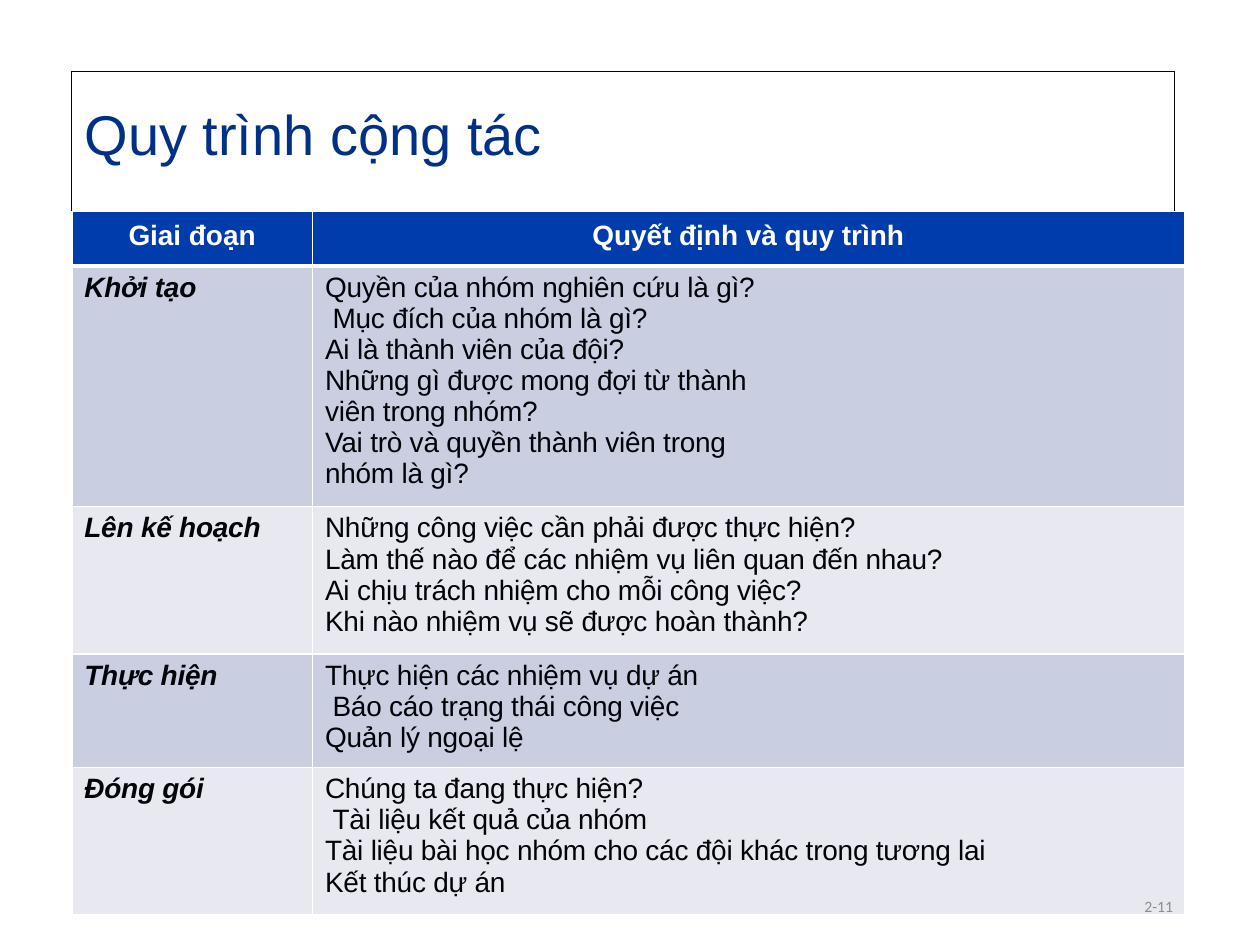
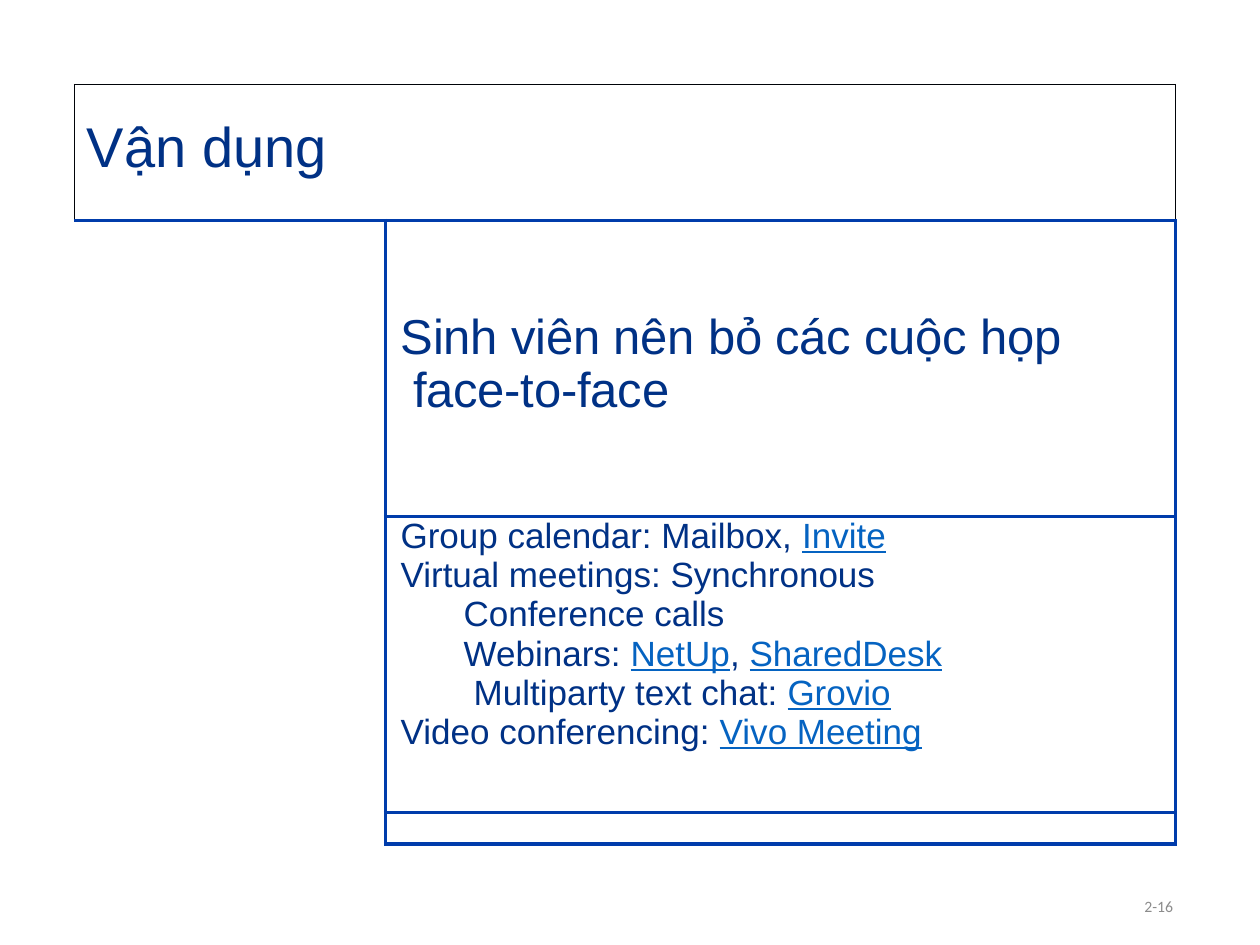
import pptx
import pptx.util
import pptx.dml.color
import pptx.enum.text
import pptx.oxml.ns
from lxml import etree

Inches, Pt = pptx.util.Inches, pptx.util.Pt
RGB = pptx.dml.color.RGBColor
Align = pptx.enum.text.PP_ALIGN
Anchor = pptx.enum.text.MSO_ANCHOR
qn = pptx.oxml.ns.qn

NAVY = RGB(0x00, 0x31, 0x85)
BLUE = RGB(0x00, 0x3C, 0xAB)
INK = RGB(0x00, 0x03, 0x08)
WHITE = RGB(0xFF, 0xFF, 0xFF)
DARK = RGB(0xCA, 0xCE, 0xE1)
LIGHT = RGB(0xE7, 0xE8, 0xF0)
LINK = RGB(0x05, 0x63, 0xC1)
GREY = RGB(0x8C, 0x8C, 0x8C)

# Borders: edge letter -> (colour, points)
BOX = {edge: (INK, 0.75) for edge in "LRT"}
THIN = {edge: (WHITE, 1) for edge in "LRTB"}
RULE = {edge: (BLUE, 2.25) for edge in "LRTB"}


class Deck:
    def __init__(self):
        self.prs = pptx.Presentation()
        self.prs.slide_width, self.prs.slide_height = Inches(10), Inches(7.5)

    def page(self):
        self.slide = self.prs.slides.add_slide(self.prs.slide_layouts[6])

    def foot(self, number):
        box = self.slide.shapes.add_textbox(
            Inches(7.06), Inches(6.95), Inches(2.25), Inches(0.4))
        frame = box.text_frame
        frame.word_wrap = True
        frame.vertical_anchor = Anchor.MIDDLE
        frame.margin_left = frame.margin_right = 0
        frame.margin_top = frame.margin_bottom = 0
        self.line(frame.paragraphs[0], [number], 9, GREY,
                  "Calibri", align=Align.RIGHT, pitch=16.5)

    def table(self, left, top, cols, rows):
        self.grid = self.slide.shapes.add_table(
            len(rows), len(cols), Inches(left), Inches(top),
            Inches(sum(cols)), Inches(sum(rows))).table
        self.grid.first_row = self.grid.horz_banding = False
        for col, width in zip(self.grid.columns, cols):
            col.width = Inches(width)
        for row, height in zip(self.grid.rows, rows):
            row.height = Inches(height)

    def cell(self, row, col, edges, fill=None, span=(1, 1), pad=(0, 0, 0)):
        """Style a cell or merged block; pad is left, top, right."""
        last = row + span[0] - 1, col + span[1] - 1
        for r in range(row, last[0] + 1):
            for c in range(col, last[1] + 1):
                head = (r, c) == (row, col)
                outer = {"L": c == col, "R": c == last[1],
                         "T": r == row, "B": r == last[0]}
                part = self.grid.cell(r, c)
                part.margin_left, part.margin_top, part.margin_right = map(
                    Inches, pad)
                part.margin_bottom = 0
                for edge in "LRTB":
                    shown = head or outer[edge]
                    self.edge(part, edge, edges.get(edge) if shown else None)
                if fill is None:
                    part.fill.background()
                else:
                    part.fill.solid()
                    part.fill.fore_color.rgb = fill
        first = self.grid.cell(row, col)
        if span != (1, 1):
            first.merge(self.grid.cell(*last))
        return first

    def edge(self, cell, edge, pen):
        props = cell._tc.get_or_add_tcPr()
        line = etree.SubElement(props, qn("a:ln" + edge))
        if pen is None:
            etree.SubElement(line, qn("a:noFill"))
            return
        line.set("w", str(Pt(pen[1])))
        solid = etree.SubElement(line, qn("a:solidFill"))
        etree.SubElement(solid, qn("a:srgbClr")).set("val", str(pen[0]))

    def line(self, para, parts, size, color, face="Arial", bold=False,
             slant=False, align=None, pitch=None, left=0, first=0, track=0):
        """Fill a paragraph; every second part is shown as a link."""
        if left or first:
            props = para._p.get_or_add_pPr()
            props.set("marL", str(Inches(left)))
            props.set("indent", str(Inches(first)))
        if align is not None:
            para.alignment = align
        if pitch:
            para.line_spacing = Pt(pitch)
        font = para.font
        font.name, font.size = face, Pt(size)
        font.bold, font.italic = bold, slant
        font.color.rgb = color
        for i, text in enumerate(parts):
            run = para.add_run()
            run.text = text
            if track:
                run._r.get_or_add_rPr().set("spc", str(track))
            if i % 2:
                run.font.color.rgb = LINK
                run.font.underline = True

    def lines(self, cell, items, size, color, **style):
        """Write (left indent, parts...) items, one paragraph each."""
        frame = cell.text_frame
        for i, (left, *parts) in enumerate(items):
            para = frame.add_paragraph() if i else frame.paragraphs[0]
            self.line(para, parts, size, color, left=left, **style)

    def title(self, text, below):
        cell = self.cell(0, 0, BOX | {"B": below}, span=(1, 2),
                         pad=(0.1, 0.26, 0))
        self.lines(cell, [(0, text)], 32, NAVY)


# Phase name, right margin of its questions, (indent, question) items
PHASES = [
    ("Khởi tạo", 3.3, [
        (0, "Quyền của nhóm nghiên cứu là gì?"),
        (0.06, "Mục đích của nhóm là gì?"),
        (0, "Ai là thành viên của đội?"),
        (0, "Những gì được mong đợi từ thành viên trong nhóm?"),
        (0, "Vai trò và quyền thành viên trong nhóm là gì?")]),
    ("Lên kế hoạch", 0, [
        (0, "Những công việc cần phải được thực hiện?"),
        (0, "Làm thế nào để các nhiệm vụ liên quan đến nhau?"),
        (0, "Ai chịu trách nhiệm cho mỗi công việc?"),
        (0, "Khi nào nhiệm vụ sẽ được hoàn thành?")]),
    ("Thực hiện", 0, [
        (0, "Thực hiện các nhiệm vụ dự án"),
        (0.06, "Báo cáo trạng thái công việc"),
        (0, "Quản lý ngoại lệ")]),
    ("Đóng gói", 0, [
        (0, "Chúng ta đang thực hiện?"),
        (0.06, "Tài liệu kết quả của nhóm"),
        (0, "Tài liệu bài học nhóm cho các đội khác trong tương lai"),
        (0, "Kết thúc dự án")]),
]

TOOLS = [
    (0, "Group calendar: Mailbox, ", "Invite"),
    (0, "Virtual meetings: Synchronous"),
    (0.5, "Conference calls"),
    (0.5, "Webinars: ", "NetUp", ", ", "SharedDesk"),
    (0.58, "Multiparty text chat: ", "Grovio"),
    (0, "Video conferencing: ", "Vivo Meeting"),
]


def team(deck):
    """Phases of teamwork and their questions."""
    deck.page()
    deck.table(0.57, 0.57, [1.91, 6.84, 0.08],
               [1.11, 0.43, 1.91, 1.17, 0.9, 1.17])
    deck.title("Quy trình cộng tác", (WHITE, 1))
    deck.cell(0, 2, {"L": (INK, 0.75), "B": (WHITE, 1)})

    # Header row
    thick = (WHITE, 3)
    for col, text in enumerate(["Giai đoạn", "Quyết định và quy trình"]):
        cell = deck.cell(1, col, THIN | {"B": thick}, BLUE, (1, 1 + col),
                         (0, 0.07, 0))
        deck.lines(cell, [(0, text)], 16, WHITE, bold=True, align=Align.CENTER)

    # Phase rows
    for row, (name, right, asks) in enumerate(PHASES, 2):
        edges = THIN | {"T": thick} if row == 2 else THIN
        fill = LIGHT if row % 2 else DARK
        cell = deck.cell(row, 0, edges, fill, pad=(0.1, 0.05, 0))
        deck.lines(cell, [(0, name)], 16, INK, bold=True, slant=True, track=-10)
        cell = deck.cell(row, 1, edges, fill, (1, 2), (0.1, 0.05, right))
        deck.lines(cell, asks, 16, INK, track=-10)
    deck.foot("2-11")


def apply(deck):
    """Tools that stand in for meetings in person."""
    deck.page()
    deck.table(0.59, 0.67, [2.47, 6.27], [1.08, 2.35, 2.35, 0.25])
    deck.title("Vận dụng", RULE["B"])
    deck.cell(1, 0, {"T": RULE["T"], "R": RULE["R"]}, span=(3, 1))

    # Advice
    cell = deck.cell(1, 1, RULE, pad=(0.12, 0.73, 0.6))
    deck.line(cell.text_frame.paragraphs[0],
              ["Sinh viên nên bỏ các cuộc họp face-to-face"],
              28, NAVY, pitch=30.2, left=0.1, first=-0.1, track=-10)

    # Tools
    cell = deck.cell(2, 1, RULE, WHITE, pad=(0.12, 0, 0))
    deck.lines(cell, TOOLS, 20, NAVY, pitch=22.4)

    # Narrow closing row
    cell = deck.cell(3, 1, RULE)
    para = cell.text_frame.paragraphs[0]
    etree.SubElement(para._p, qn("a:endParaRPr")).set("sz", "800")
    deck.foot("2-16")


def main():
    deck = Deck()
    team(deck)
    apply(deck)
    deck.prs.save("out.pptx")


if __name__ == "__main__":
    main()
